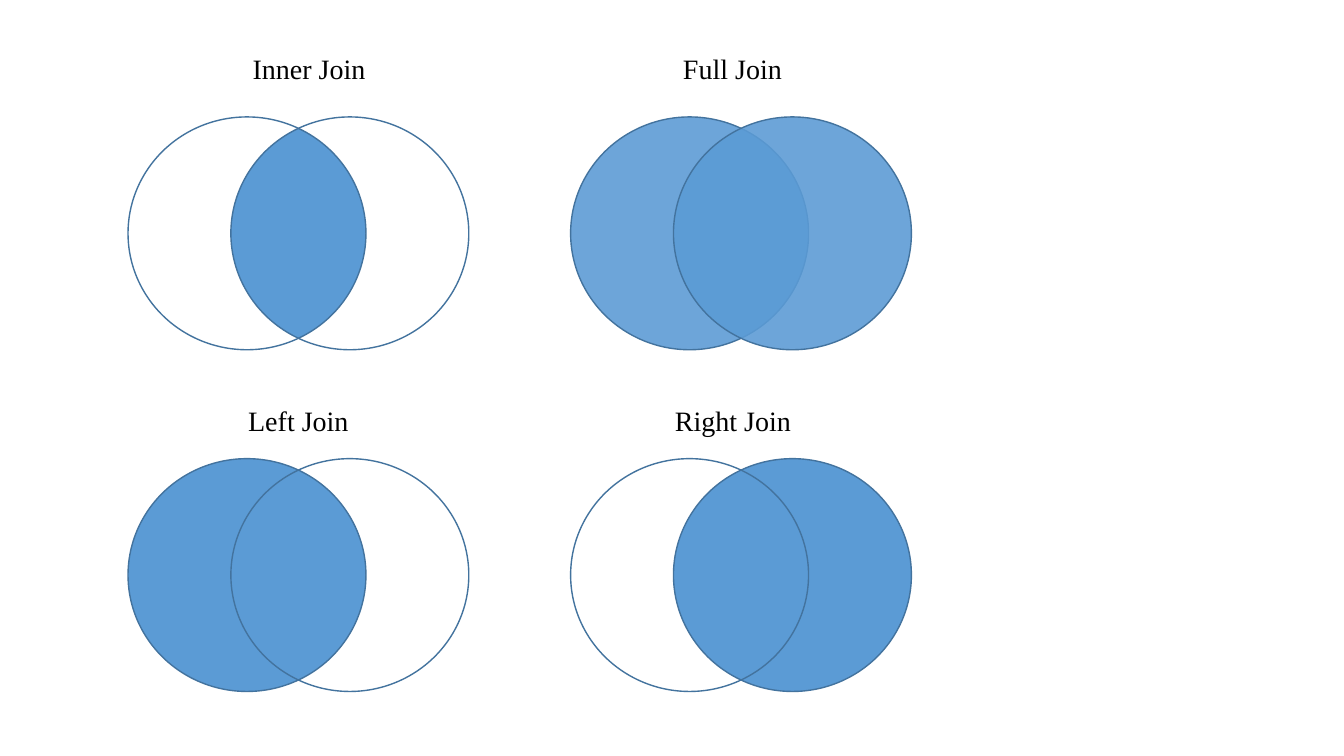
from math import acos, cos, sin

from lxml.etree import SubElement
from pptx import Presentation
from pptx.dml.color import RGBColor
from pptx.enum.shapes import MSO_CONNECTOR as Connector, MSO_SHAPE as Shape
from pptx.enum.text import MSO_AUTO_SIZE as AutoSize, PP_ALIGN as Align
from pptx.oxml.ns import qn
from pptx.util import Inches, Pt

FILL = "5B9BD5"
OUTLINE = "43739E"
CIRCLE_W, CIRCLE_H = 2.36, 2.31
OFFSET = 1.02
ARC_STEPS = 40

JOINS = [
    ("Inner Join", 1.27, 1.16, 2.4, 0.46, 1.33),
    ("Full Join", 5.66, 1.16, 6.67, 0.46, 1.19),
    ("Left Join", 1.27, 4.55, 2.36, 3.95, 1.2),
    ("Right Join", 5.66, 4.55, 6.59, 3.95, 1.36),
]


def color(hex_code):
    return RGBColor.from_string(hex_code)


def add_circle(slide, left, top, filled=False, opacity=100):
    circle = slide.shapes.add_shape(
        Shape.OVAL, Inches(left), Inches(top), Inches(CIRCLE_W), Inches(CIRCLE_H))
    circle.shadow.inherit = False
    circle.line.color.rgb = color(OUTLINE)
    circle.line.width = Pt(1)
    if not filled:
        circle.fill.background()
        return
    circle.fill.solid()
    circle.fill.fore_color.rgb = color(FILL)
    if opacity < 100:
        srgb = circle.fill._xPr.find(".//" + qn("a:srgbClr"))
        SubElement(srgb, qn("a:alpha"), val=str(opacity * 1000))


def add_overlap(slide, left, top):
    radius_x, radius_y = CIRCLE_W / 2, CIRCLE_H / 2
    middle_x = left + (CIRCLE_W + OFFSET) / 2
    middle_y = top + radius_y
    reach = acos(OFFSET / CIRCLE_W)
    half_height = radius_y * sin(reach)

    for side in (-1, 1):
        angles = [reach * (2 * step / ARC_STEPS - 1) for step in range(ARC_STEPS + 1)]
        arc = [(Inches(middle_x + side * (radius_x * cos(a) - OFFSET / 2)),
                Inches(middle_y + radius_y * sin(a))) for a in angles]
        builder = slide.shapes.build_freeform(*arc[0])
        builder.add_line_segments(arc[1:], close=True)
        half = builder.convert_to_shape()
        half.shadow.inherit = False
        half.fill.solid()
        half.fill.fore_color.rgb = color(FILL)
        half.line.fill.background()

    seam = slide.shapes.add_connector(
        Connector.STRAIGHT, Inches(middle_x), Inches(middle_y - half_height),
        Inches(middle_x), Inches(middle_y + half_height))
    seam.line.color.rgb = color(FILL)
    seam.line.width = Pt(2.25)
    SubElement(seam._element.spPr, qn("a:effectLst"))


def add_title(slide, title, left, top, width):
    box = slide.shapes.add_textbox(Inches(left), Inches(top), Inches(width), Inches(0.44))
    frame = box.text_frame
    frame.word_wrap = False
    frame.auto_size = AutoSize.SHAPE_TO_FIT_TEXT
    paragraph = frame.paragraphs[0]
    paragraph.alignment = Align.CENTER
    run = paragraph.add_run()
    run.text = title
    run.font.size = Pt(20)
    run.font.name = "Times New Roman"
    run.font.color.rgb = color("000000")


def add_join(slide, title, left, top, title_left, title_top, title_width):
    right = left + OFFSET
    if title == "Inner Join":
        add_overlap(slide, left, top)
        add_circle(slide, left, top)
        add_circle(slide, right, top)
    elif title == "Full Join":
        add_circle(slide, left, top, filled=True, opacity=89)
        add_circle(slide, right, top, filled=True, opacity=89)
    elif title == "Left Join":
        add_circle(slide, left, top, filled=True)
        add_circle(slide, right, top)
    else:
        add_circle(slide, right, top, filled=True)
        add_circle(slide, left, top)
    add_title(slide, title, title_left, title_top, title_width)


def main():
    deck = Presentation()
    deck.slide_width, deck.slide_height = Inches(13.33), Inches(7.5)
    slide = deck.slides.add_slide(deck.slide_layouts[6])
    for join in JOINS:
        add_join(slide, *join)
    deck.save("out.pptx")


if __name__ == "__main__":
    main()
